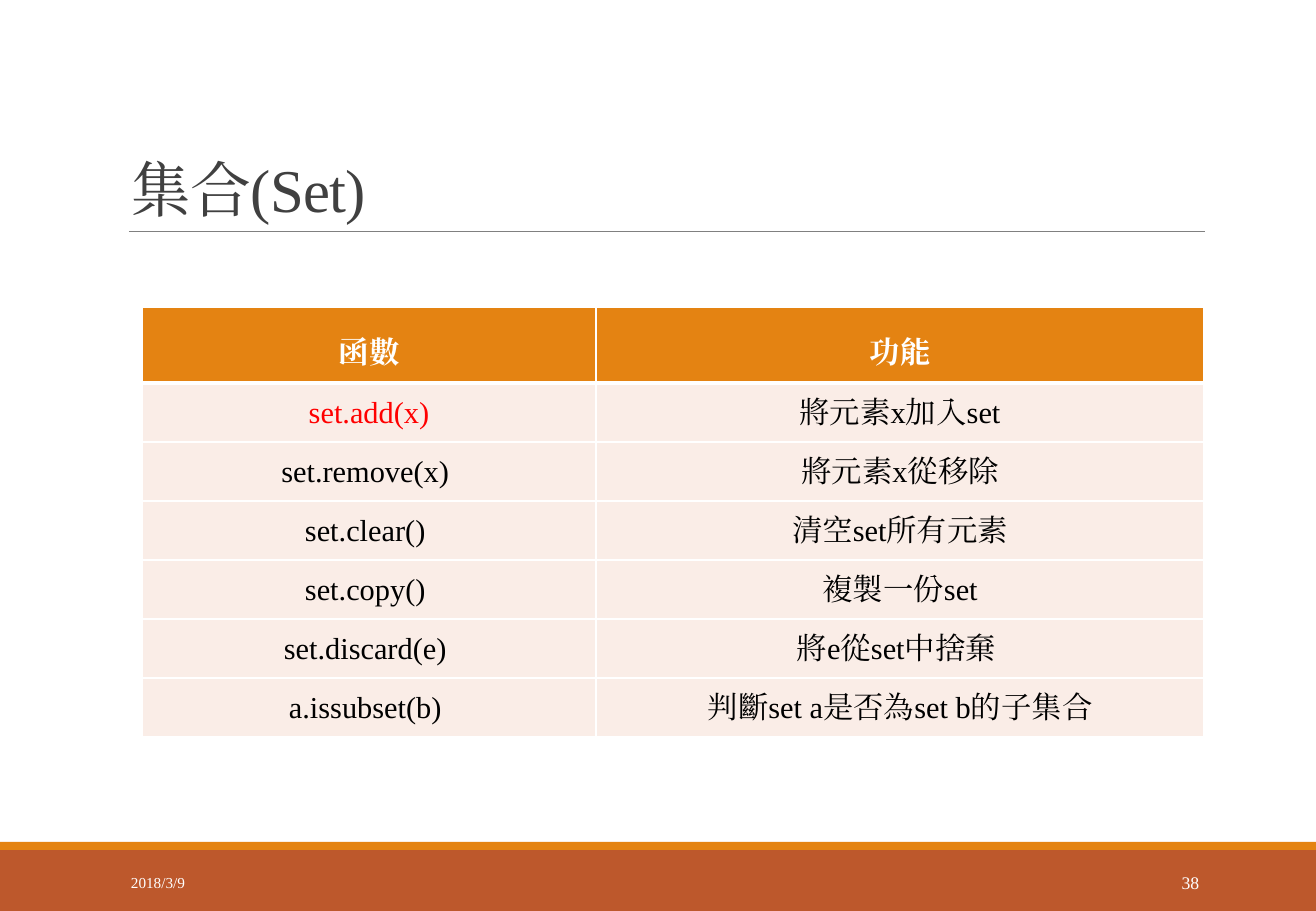
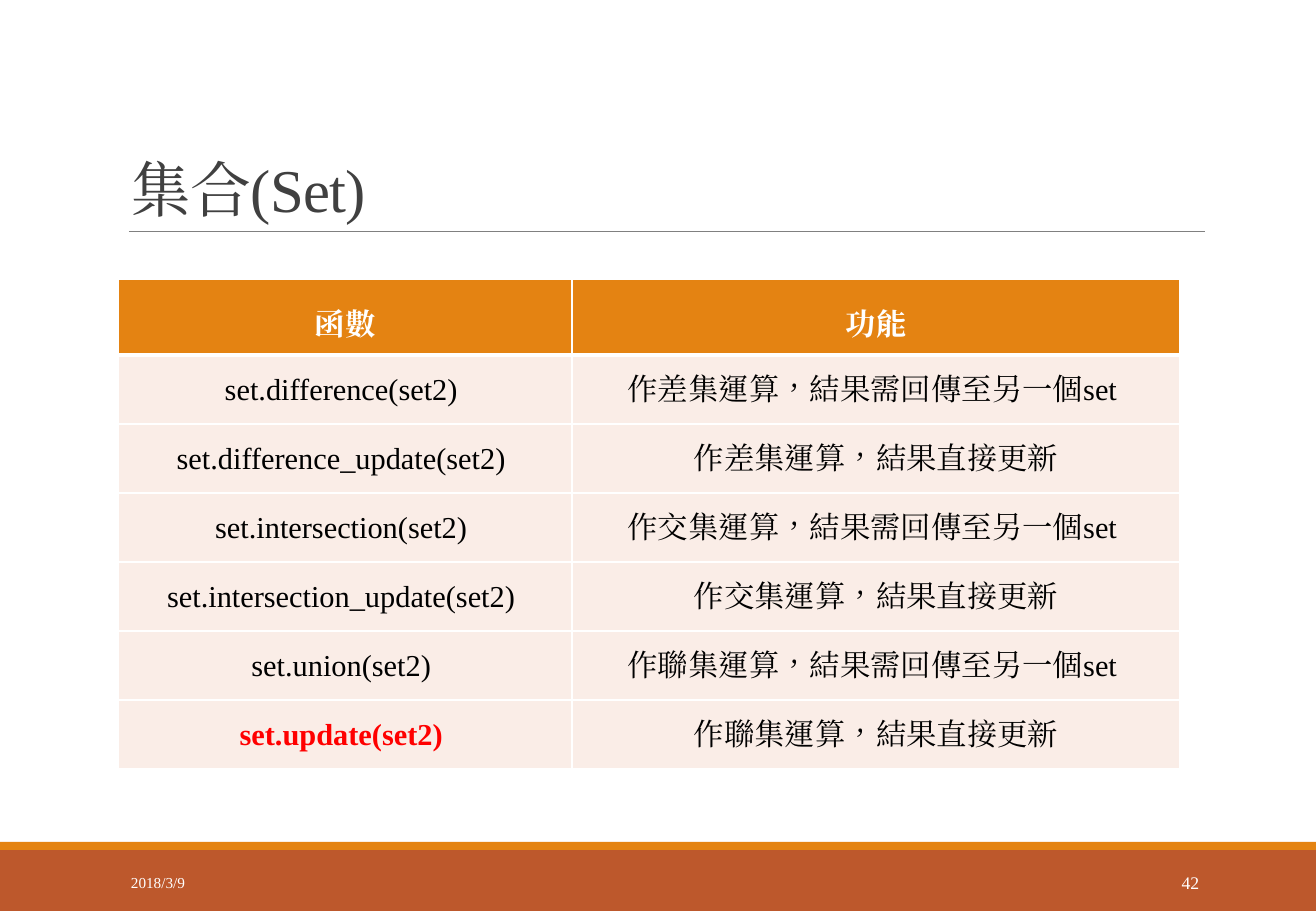
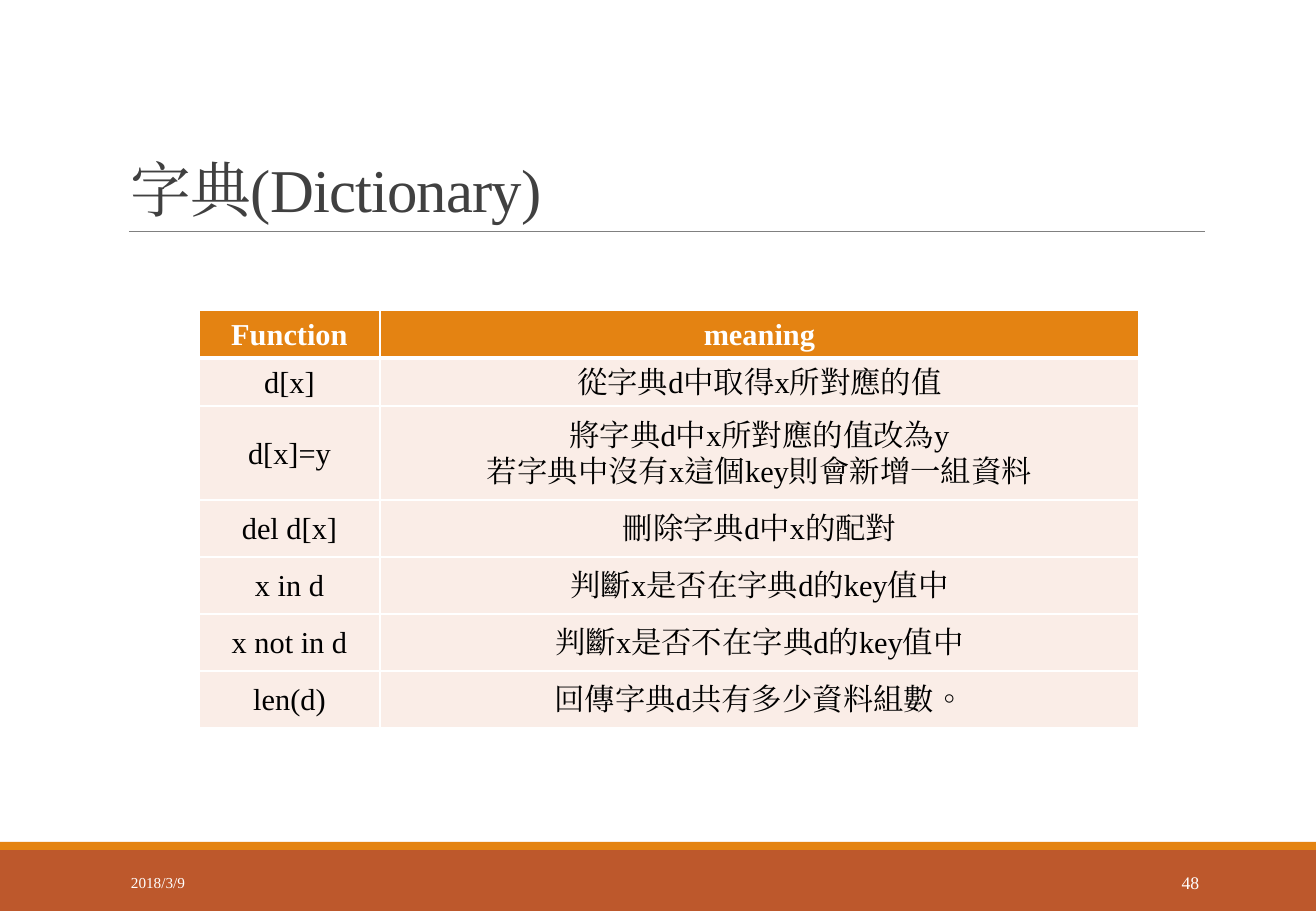
"""Build three slides of Python set and dictionary function tables."""
from dataclasses import dataclass

from lxml.etree import SubElement
from pptx import Presentation
from pptx.dml.color import RGBColor as RGB
from pptx.enum.shapes import MSO_CONNECTOR as CONNECTOR, MSO_SHAPE as SHAPE
from pptx.enum.text import MSO_ANCHOR as ANCHOR, MSO_AUTO_SIZE as AUTO_SIZE, PP_ALIGN as ALIGN
from pptx.oxml.ns import qn
from pptx.util import Pt

EMU_PER_PX = 914400 / 121.5
SLIDE_WIDTH, SLIDE_HEIGHT = 1316, 911
TITLE_ONLY = 5
FONT = "Times New Roman"

WHITE = RGB(0xFF, 0xFF, 0xFF)
BLACK = RGB(0x00, 0x00, 0x00)
RED = RGB(0xFF, 0x00, 0x00)
ORANGE = RGB(0xE4, 0x83, 0x12)
RUST = RGB(0xBD, 0x58, 0x2C)
BLUSH = RGB(0xFA, 0xED, 0xE7)
GRAY = RGB(0x80, 0x80, 0x80)
CHARCOAL = RGB(0x40, 0x40, 0x40)

TITLE_FONT = {"size": Pt(36), "bold": False}
DATE_FONT = {"size": Pt(9)}
NUMBER_FONT = {"size": Pt(10.5)}
HEADER_FONT = {"size": Pt(18), "bold": True}
BODY_FONT = {"size": Pt(18), "bold": False}

TITLE_FRAME = {"vertical_anchor": ANCHOR.BOTTOM, "word_wrap": True, "auto_size": AUTO_SIZE.NONE}
FOOTER_FRAME = {"vertical_anchor": ANCHOR.MIDDLE, "word_wrap": True}

DATE = "2018/3/9"
SET_HEADER = ("函數", "功能")
SET_COLUMNS = (454, 608)

SET_BASICS = [
    SET_HEADER,
    ("set.add(x)", "將元素x加入set"),
    ("set.remove(x) ", "將元素x從移除"),
    ("set.clear() ", "清空set所有元素"),
    ("set.copy() ", "複製一份set"),
    ("set.discard(e) ", "將e從set中捨棄 "),
    ("a.issubset(b) ", "判斷set a是否為set b的子集合"),
]
SET_OPERATIONS = [
    SET_HEADER,
    ("set.difference(set2) ", "作差集運算，結果需回傳至另一個set "),
    ("set.difference_update(set2) ", "作差集運算，結果直接更新"),
    ("set.intersection(set2) ", "作交集運算，結果需回傳至另一個set "),
    ("set.intersection_update(set2) ", "作交集運算，結果直接更新"),
    ("set.union(set2) ", "作聯集運算，結果需回傳至另一個set "),
    ("set.update(set2) ", "作聯集運算，結果直接更新"),
]
DICTIONARY_FUNCTIONS = [
    ("Function", "meaning"),
    ("d[x]", "從字典d中取得x所對應的值"),
    ("d[x]=y", "將字典d中x所對應的值改為y\n若字典中沒有x這個key則會新增一組資料"),
    ("del d[x]", "刪除字典d中x的配對"),
    ("x in d", "判斷x是否在字典d的key值中"),
    ("x not in d", "判斷x是否不在字典d的key值中"),
    ("len(d)", "回傳字典d共有多少資料組數。"),
]


@dataclass
class FunctionTable:
    """Content and measures of one function table."""
    entries: list
    corner: tuple
    columns: tuple
    rows: list
    insets: tuple = (11, 6)
    header_spacing: float = 1.5
    highlight: str = ""
    highlight_bold: bool = False


def px(*lengths):
    """Turn pixel lengths into EMU."""
    return [round(length * EMU_PER_PX) for length in lengths]


def assign(target, values):
    """Set each attribute named in a dict of format values."""
    for name, value in values.items():
        setattr(target, name, value)


def write(frame, text, font, color, paragraph_format, tracking=0):
    """Fill a text frame and format its paragraphs and runs."""
    frame.text = text
    for paragraph in frame.paragraphs:
        assign(paragraph, paragraph_format)
        for run in paragraph.runs:
            assign(run.font, {"name": FONT, **font})
            run.font.color.rgb = color
            properties = run._r.get_or_add_rPr()
            properties.set("lang", "zh-TW")
            if tracking:
                properties.set("spc", str(tracking))
            SubElement(properties, qn("a:ea"), typeface=FONT)


def add_band(slide, top, height, color):
    """Add a full-width band."""
    band = slide.shapes.add_shape(SHAPE.RECTANGLE, *px(0, top, SLIDE_WIDTH, height))
    band.shadow.inherit = False
    band.fill.solid()
    band.fill.fore_color.rgb = color
    band.line.fill.background()
    return band


def add_rule(slide, left, right, y):
    """Add the thin line under the title."""
    rule = slide.shapes.add_connector(CONNECTOR.STRAIGHT, *px(left, y, right, y))
    rule.line.color.rgb = GRAY
    rule.line.width = Pt(0.5)
    SubElement(rule._element.spPr, qn("a:effectLst"))
    return rule


def share_decoration(slide):
    """Move the bands and the title rule to the slide's layout."""
    decoration = (
        add_band(slide, 850, 61, RUST),
        add_band(slide, 842, 8, ORANGE),
        add_rule(slide, 129, 1205, 231),
    )
    for part in decoration:
        slide.slide_layout.shapes.element.append(part._element)


def set_title(slide, text):
    """Place and format the title placeholder."""
    title = slide.shapes.title
    assign(title, dict(zip(("left", "top", "width", "height"), px(118, 38, 1086, 193))))
    assign(title.text_frame, TITLE_FRAME)
    write(title.text_frame, text, TITLE_FONT, CHARCOAL,
          {"alignment": ALIGN.LEFT, "line_spacing": 0.85}, tracking=-50)


def add_footer_text(slide, text, left, width, font, alignment):
    """Add a text on the footer band."""
    frame = slide.shapes.add_textbox(*px(left, 858, width, 49)).text_frame
    assign(frame, FOOTER_FRAME)
    write(frame, text, font, WHITE, {"alignment": alignment})


def add_borders(cell, top, bottom):
    """Draw white borders around a cell, with widths in points."""
    properties = cell._tc.get_or_add_tcPr()
    for side, width in (("L", 1), ("R", 1), ("T", top), ("B", bottom)):
        border = SubElement(properties, qn(f"a:ln{side}"), w=str(Pt(width)))
        fill = SubElement(border, qn("a:solidFill"))
        SubElement(fill, qn("a:srgbClr"), val=str(WHITE))


def format_cell(cell, text, row, content):
    """Write one table cell and set its fill, insets and borders."""
    side, end = px(*content.insets)
    assign(cell, {"vertical_anchor": ANCHOR.MIDDLE, "margin_left": side,
                  "margin_right": side, "margin_top": end, "margin_bottom": end})
    add_borders(cell, top=3 if row == 1 else 1, bottom=3 if row == 0 else 1)
    cell.fill.solid()
    cell.fill.fore_color.rgb = BLUSH if row else ORANGE
    font, color, spacing = BODY_FONT, BLACK, 1.07
    if row == 0:
        font, color, spacing = HEADER_FONT, WHITE, content.header_spacing
    elif text.strip() == content.highlight:
        font, color = {**BODY_FONT, "bold": content.highlight_bold}, RED
    write(cell.text_frame, text, font, color,
          {"alignment": ALIGN.CENTER, "line_spacing": spacing})


def add_function_table(slide, content):
    """Add a table with a header row above the functions."""
    size = sum(content.columns), sum(content.rows)
    table = slide.shapes.add_table(len(content.rows), len(content.columns),
                                   *px(*content.corner, *size)).table
    table.horz_banding = False
    for column, width in zip(table.columns, px(*content.columns)):
        column.width = width
    for row, height in zip(table.rows, px(*content.rows)):
        row.height = height
    for row, entry in enumerate(content.entries):
        for column, text in enumerate(entry):
            format_cell(table.cell(row, column), text, row, content)


def add_function_slide(deck, title, number, content):
    """Add a slide with title, footer texts and function table."""
    slide = deck.slides.add_slide(deck.slide_layouts[TITLE_ONLY])
    set_title(slide, title)
    add_footer_text(slide, DATE, 119, 267, DATE_FONT, ALIGN.LEFT)
    add_footer_text(slide, str(number), 1069, 142, NUMBER_FONT, ALIGN.RIGHT)
    add_function_table(slide, content)
    return slide


def main():
    """Build and save the deck."""
    deck = Presentation()
    deck.slide_width, deck.slide_height = px(SLIDE_WIDTH, SLIDE_HEIGHT)
    basics = FunctionTable(SET_BASICS, (142, 307), SET_COLUMNS, [76] + [59] * 6,
                           highlight="set.add(x)")
    operations = FunctionTable(SET_OPERATIONS, (118, 279), SET_COLUMNS, [76] + [69] * 6,
                               highlight="set.update(set2)", highlight_bold=True)
    dictionary = FunctionTable(DICTIONARY_FUNCTIONS, (199, 310), (181, 759),
                               [48, 48, 94] + [57] * 4, insets=(9, 0), header_spacing=1.07)
    first = add_function_slide(deck, "集合(Set)", 38, basics)
    share_decoration(first)
    add_function_slide(deck, "集合(Set)", 42, operations)
    add_function_slide(deck, "字典(Dictionary)", 48, dictionary)
    deck.save("out.pptx")


if __name__ == "__main__":
    main()
